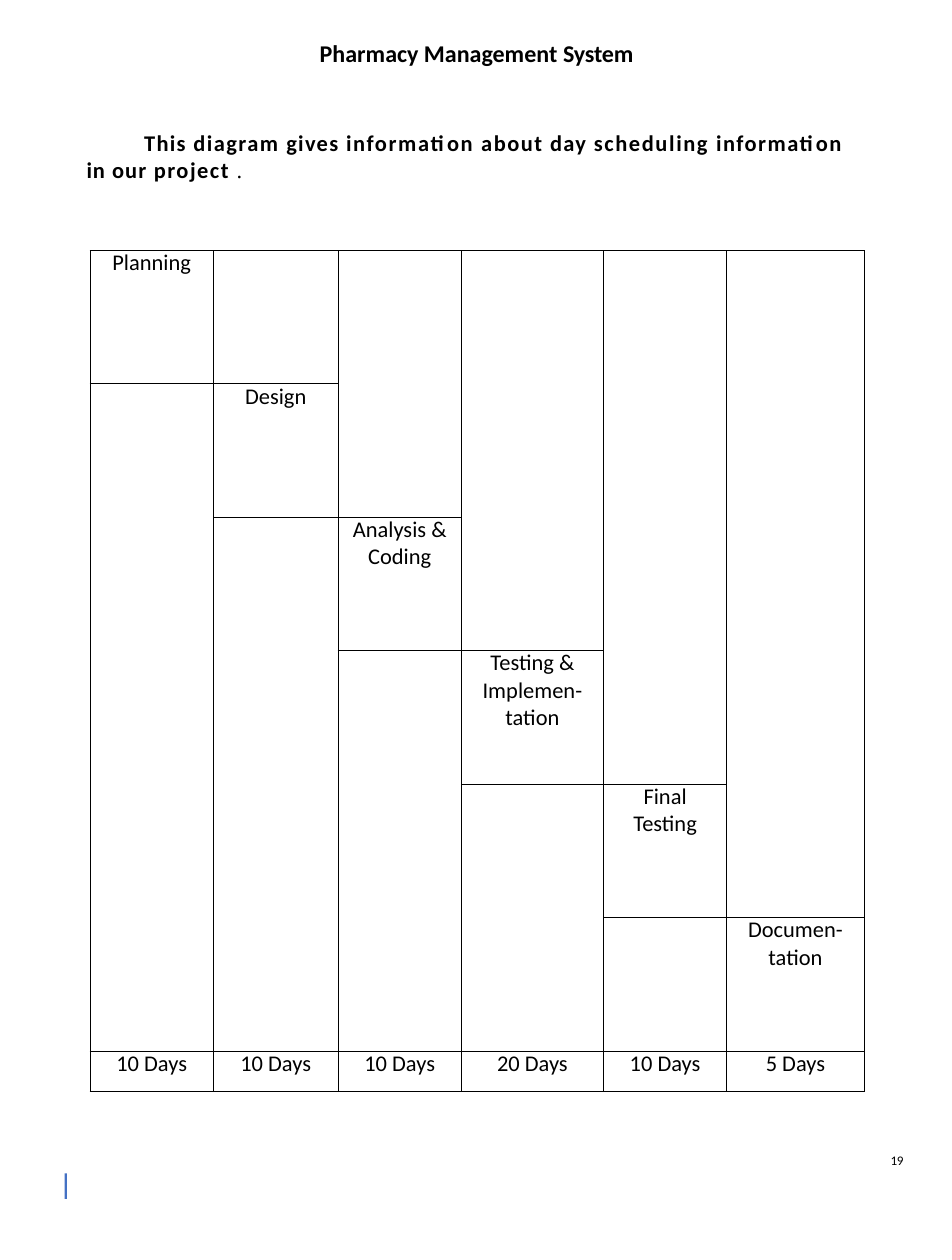
from lxml.etree import SubElement
from pptx import Presentation
from pptx.dml.color import RGBColor
from pptx.enum.shapes import MSO_SHAPE
from pptx.enum.text import MSO_ANCHOR, PP_ALIGN
from pptx.oxml.ns import qn
from pptx.util import Inches, Pt

COLORS = {"text": "000000", "border": "000000", "bar": "4471C4"}
FONT = "Calibri"

TITLE = [("Pharmacy Management ", 0), ("System", -0.1)]
# Each run is its text and its letter spacing in points.
NOTE = [
    ("This ", 0.8), ("diagram ", 0.9), ("gives ", 0.8), ("information ", 1),
    ("about ", 0.9), ("day ", 0.8), ("scheduling ", 1), ("information ", 0.9),
    ("in ", 0.6), ("our ", 0.7), ("project ", 0.9), (".", -0.5),
]
# Stage lines, duration, column width in inches.
STAGES = [
    (["Planning"], "10 Days", 1.07),
    (["Design"], "10 Days", 1.08),
    (["Analysis &", "Coding"], "10 Days", 1.07),
    (["Testing &", "Implemen-", "tation"], "20 Days", 1.23),
    (["Final", "Testing"], "10 Days", 1.07),
    (["Documen-", "tation"], "5 Days", 1.19),
]
PAGE_NUMBER = [("19", -0.2)]

TABLE_LEFT, TABLE_TOP = 0.78, 2.17
STAGES_HEIGHT, DAYS_HEIGHT = 6.94, 0.35
BORDER_WIDTH = 0.5


def style_paragraph(paragraph, size, alignment, bold=False):
    paragraph.alignment = alignment
    font = paragraph.font
    font.name, font.size, font.bold = FONT, Pt(size), bold
    font.color.rgb = RGBColor.from_string(COLORS["text"])


def add_spaced_runs(paragraph, runs):
    for text, spacing in runs:
        run = paragraph.add_run()
        run.text = text
        run.font._element.set("spc", str(round(spacing * 100)))


def add_text(slide, box, runs, size, alignment, bold=False, anchor=MSO_ANCHOR.TOP):
    frame = slide.shapes.add_textbox(*map(Inches, box)).text_frame
    frame.word_wrap = True
    frame.vertical_anchor = anchor
    frame.margin_left = frame.margin_right = frame.margin_top = frame.margin_bottom = 0
    paragraph = frame.paragraphs[0]
    style_paragraph(paragraph, size, alignment, bold)
    add_spaced_runs(paragraph, runs)
    return paragraph


def format_cell(cell):
    """Clear the fill and margins and draw a thin line on all four sides."""
    cell.margin_left = cell.margin_right = cell.margin_top = cell.margin_bottom = 0
    properties = cell._tc.get_or_add_tcPr()
    for side in ("a:lnL", "a:lnR", "a:lnT", "a:lnB"):
        line = SubElement(properties, qn(side), w=str(Pt(BORDER_WIDTH)))
        fill = SubElement(line, qn("a:solidFill"))
        SubElement(fill, qn("a:srgbClr"), val=COLORS["border"])
    cell.fill.background()


def write_cell(cell, lines):
    frame = cell.text_frame
    frame.text = "\n".join(lines)
    for paragraph in frame.paragraphs:
        style_paragraph(paragraph, 14, PP_ALIGN.CENTER)
    frame.paragraphs[0].line_spacing = Pt(16.4)


def add_schedule(slide):
    """Place the stages on the diagonal and merge the free cells above and below."""
    count = len(STAGES)
    width = sum(stage[2] for stage in STAGES)
    table = slide.shapes.add_table(
        count + 1, count, Inches(TABLE_LEFT), Inches(TABLE_TOP),
        Inches(width), Inches(STAGES_HEIGHT + DAYS_HEIGHT)).table
    table.first_row = table.horz_banding = False
    for row in table.rows:
        row.height = Inches(STAGES_HEIGHT / count)
    table.rows[count].height = Inches(DAYS_HEIGHT)
    for cell in table.iter_cells():
        format_cell(cell)
    for index, (lines, days, column_width) in enumerate(STAGES):
        table.columns[index].width = Inches(column_width)
        write_cell(table.cell(index, index), lines)
        write_cell(table.cell(count, index), [days])
        for first, last in ((0, index - 1), (index + 1, count - 1)):
            if first < last:
                table.cell(first, index).merge(table.cell(last, index))


def main():
    presentation = Presentation()
    presentation.slide_width, presentation.slide_height = Inches(8.25), Inches(10.92)
    slide = presentation.slides.add_slide(presentation.slide_layouts[6])

    add_text(slide, (0.74, 0.33, 6.78, 0.26), TITLE, 15, PP_ALIGN.CENTER, bold=True)
    note = add_text(slide, (0.75, 1.12, 6.77, 0.48), NOTE, 14, PP_ALIGN.LEFT, bold=True)
    note._p.get_or_add_pPr().set("indent", str(Inches(0.5)))
    full_stop = note.runs[-1].font
    full_stop.name, full_stop.bold = "Times New Roman", False

    bar = slide.shapes.add_shape(
        MSO_SHAPE.RECTANGLE, *map(Inches, (0.56, 10.17, 0.02, 0.22)))
    bar.shadow.inherit = False
    bar.fill.solid()
    bar.fill.fore_color.rgb = RGBColor.from_string(COLORS["bar"])
    bar.line.fill.background()

    add_schedule(slide)
    add_text(slide, (7.46, 9.74, 0.37, 0.58), PAGE_NUMBER, 8.2, PP_ALIGN.RIGHT,
             anchor=MSO_ANCHOR.MIDDLE).line_spacing = Pt(13.3)
    presentation.save("out.pptx")


if __name__ == "__main__":
    main()
